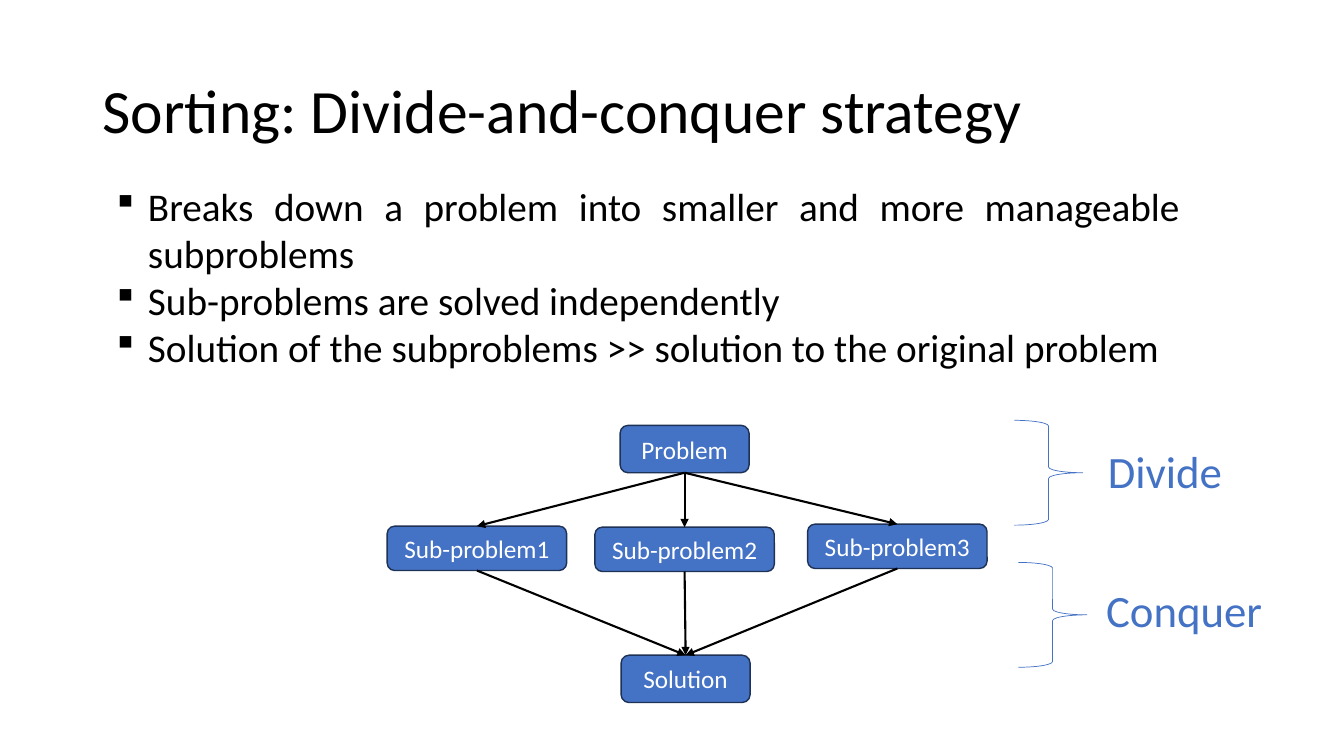
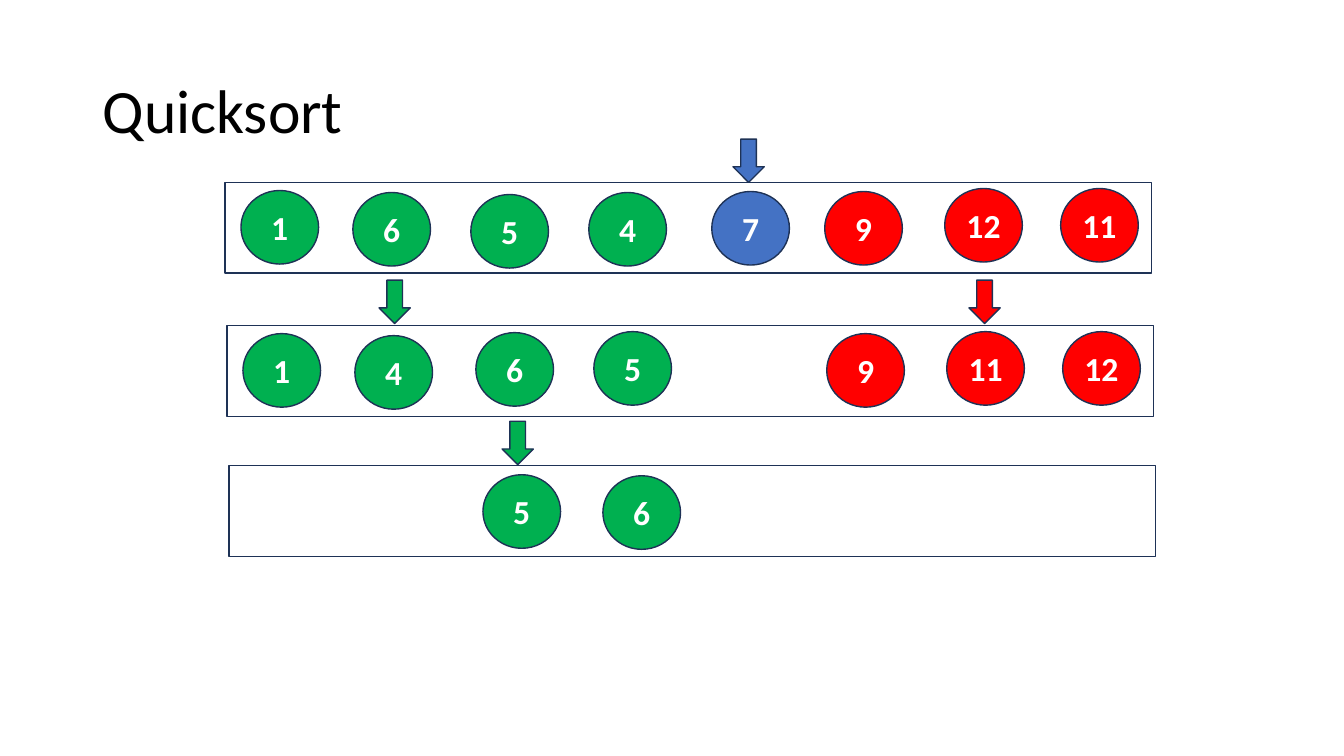
from lxml.etree import SubElement
from pptx import Presentation
from pptx.dml.color import RGBColor
from pptx.enum.shapes import MSO_CONNECTOR, MSO_SHAPE
from pptx.enum.text import MSO_ANCHOR, PP_ALIGN
from pptx.oxml.ns import qn
from pptx.util import Inches, Pt

COLORS = {"black": "000000", "white": "FFFFFF", "blue": "4472C4",
          "navy": "1E3256", "green": "00B050", "red": "FF0000"}
FONT = "Calibri"

TEXT_STYLES = {
    "title": {"size": 44, "color": "black", "align": PP_ALIGN.LEFT},
    "bullet": {"size": 28, "color": "black", "align": PP_ALIGN.JUSTIFY},
    "phase": {"size": 32, "color": "blue", "align": PP_ALIGN.CENTER},
    "node": {"size": 18, "color": "white", "align": PP_ALIGN.CENTER},
    "number": {"size": 24, "color": "white", "align": PP_ALIGN.CENTER, "bold": True},
}

STRATEGY_TITLE = "Sorting: Divide-and-conquer strategy"
STRATEGY_BULLETS = [
    "Breaks down a problem into smaller and more manageable subproblems",
    "Sub-problems are solved independently",
    "Solution of the subproblems >> solution to the original problem",
]
END_SIZE = (1.28, 0.47)
PART_SIZE = (1.78, 0.44)
PROBLEM = ("Problem", 6.15, 4.22)
SOLUTION = ("Solution", 6.16, 6.5)
PARTS = [("Sub-problem1", 3.84, 5.22), ("Sub-problem2", 5.9, 5.23),
         ("Sub-problem3", 8.01, 5.2)]
PHASES = [
    ("Divide", (10.06, 4.17), (10.88, 4.35, 1.35, 0.64)),
    ("Conquer", (10.1, 5.58), (10.86, 5.73, 1.77, 0.64)),
]
BRACE_SIZE = (0.68, 1.04)

QUICKSORT_TITLE = "Quicksort"
PIVOT = 7
ROW_SIZE = (9.19, 0.9)
CIRCLE_SIZE = (0.77, 0.73)
ARROW_SIZE = (0.31, 0.43)
ROWS = [
    {"at": (2.23, 1.81), "arrows": [(7, 7.27, 1.38)],
     "circles": [(1, 2.39, 1.89), (6, 3.5, 1.91), (5, 4.67, 1.93), (4, 5.84, 1.91),
                 (7, 7.06, 1.9), (9, 8.18, 1.9), (12, 9.37, 1.87), (11, 10.52, 1.87)]},
    {"at": (2.25, 3.23), "arrows": [(4, 3.76, 2.78), (11, 9.61, 2.78)],
     "circles": [(1, 2.41, 3.31), (4, 3.52, 3.33), (6, 4.72, 3.3), (5, 5.89, 3.29),
                 (9, 8.2, 3.31), (11, 9.39, 3.29), (12, 10.54, 3.29)]},
    {"at": (2.27, 4.62), "arrows": [(5, 4.98, 4.18)],
     "circles": [(5, 4.79, 4.71), (6, 5.98, 4.72)]},
]
TOP_SITE, BOTTOM_SITE = 0, 2


def rgb(name):
    return RGBColor.from_string(COLORS[name])


def write(frame, lines, style_name):
    style = TEXT_STYLES[style_name]
    font_format = {"name": FONT, "size": Pt(style["size"]), "bold": style.get("bold", False)}
    for index, line in enumerate(lines):
        para = frame.paragraphs[0] if index == 0 else frame.add_paragraph()
        para.alignment = style["align"]
        span = para.add_run()
        span.text = line
        for attribute, value in font_format.items():
            setattr(span.font, attribute, value)
        span.font.color.rgb = rgb(style["color"])


def add_text(page, place, lines, style_name, wrap=True):
    box = page.shapes.add_textbox(*map(Inches, place))
    box.text_frame.word_wrap = wrap
    write(box.text_frame, lines, style_name)
    return box.text_frame


def add_page(deck, title):
    page = deck.slides.add_slide(deck.slide_layouts[6])
    frame = add_text(page, (0.92, 0.4, 11.5, 1.45), [title], "title")
    frame.vertical_anchor = MSO_ANCHOR.MIDDLE
    frame.paragraphs[0].line_spacing = 0.9
    return page


def add_box(page, kind, at, size, fill=None, line="navy", weight=1, text=None, style_name="node"):
    box = page.shapes.add_shape(kind, *map(Inches, (*at, *size)))
    box.shadow.inherit = False
    if fill:
        box.fill.solid()
        box.fill.fore_color.rgb = rgb(fill)
    else:
        box.fill.background()
    box.line.color.rgb = rgb(line)
    box.line.width = Pt(weight)
    if text:
        frame = box.text_frame
        frame.vertical_anchor = MSO_ANCHOR.MIDDLE
        frame.margin_left = frame.margin_right = 0
        write(frame, [text], style_name)
    return box


def add_bullets(page, place, lines):
    frame = add_text(page, place, lines, "bullet")
    for para in frame.paragraphs:
        properties = para._p.get_or_add_pPr()
        properties.set("marL", str(Inches(0.31)))
        properties.set("indent", str(-Inches(0.31)))
        SubElement(properties, qn("a:buFont"), typeface="Wingdings")
        SubElement(properties, qn("a:buChar"), char="§")


def add_arrow(page, start, end):
    arrow = page.shapes.add_connector(MSO_CONNECTOR.STRAIGHT, 0, 0, 0, 0)
    arrow.begin_connect(start, BOTTOM_SITE)
    arrow.end_connect(end, TOP_SITE)
    arrow.line.color.rgb = rgb("black")
    arrow.line.width = Pt(1.5)
    SubElement(arrow.line._get_or_add_ln(), qn("a:tailEnd"), type="triangle")
    SubElement(arrow._element.spPr, qn("a:effectLst"))


def add_node(page, node, size):
    text, left, top = node
    return add_box(page, MSO_SHAPE.ROUNDED_RECTANGLE, (left, top), size, "blue", text=text)


def build_strategy(deck):
    page = add_page(deck, STRATEGY_TITLE)
    add_bullets(page, (1.06, 1.76, 10.74, 1.99), STRATEGY_BULLETS)
    problem = add_node(page, PROBLEM, END_SIZE)
    parts = [add_node(page, part, PART_SIZE) for part in PARTS]
    solution = add_node(page, SOLUTION, END_SIZE)
    for part in parts:
        add_arrow(page, problem, part)
        add_arrow(page, part, solution)
    for label, brace_at, label_place in PHASES:
        add_box(page, MSO_SHAPE.RIGHT_BRACE, brace_at, BRACE_SIZE, line="blue", weight=0.5)
        add_text(page, label_place, [label], "phase", wrap=False)


def side_color(number):
    if number == PIVOT:
        return "blue"
    return "green" if number < PIVOT else "red"


def build_quicksort(deck):
    page = add_page(deck, QUICKSORT_TITLE)
    for row in ROWS:
        add_box(page, MSO_SHAPE.RECTANGLE, row["at"], ROW_SIZE)
        for number, left, top in row["arrows"]:
            add_box(page, MSO_SHAPE.DOWN_ARROW, (left, top), ARROW_SIZE, side_color(number))
        for number, left, top in row["circles"]:
            add_box(page, MSO_SHAPE.OVAL, (left, top), CIRCLE_SIZE, side_color(number),
                    text=str(number), style_name="number")


def main():
    deck = Presentation()
    deck.slide_width, deck.slide_height = Inches(13.33), Inches(7.5)
    build_strategy(deck)
    build_quicksort(deck)
    deck.save("out.pptx")


if __name__ == "__main__":
    main()
